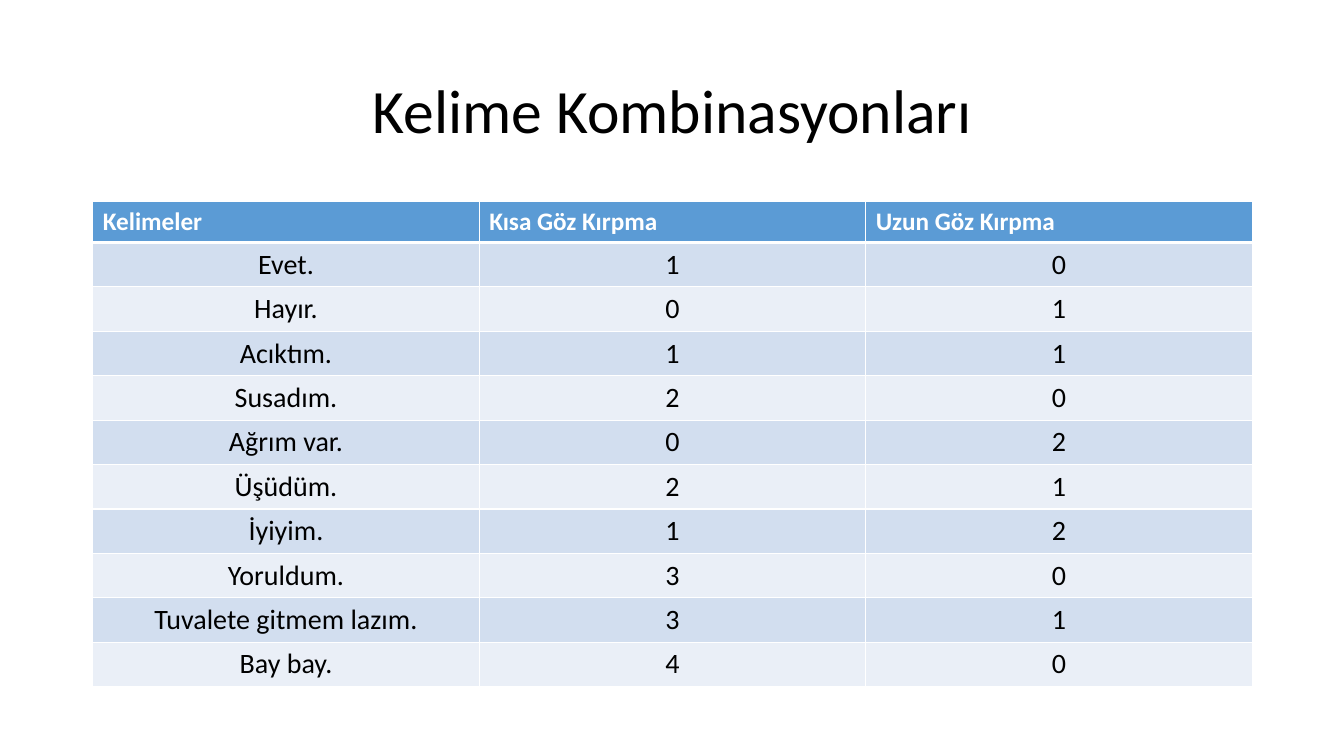
from dataclasses import dataclass

from lxml import etree
from pptx import Presentation
from pptx.dml.color import RGBColor
from pptx.enum.text import MSO_ANCHOR, PP_ALIGN
from pptx.oxml.ns import qn
from pptx.util import Inches, Pt

LEFT, CENTER = PP_ALIGN.LEFT, PP_ALIGN.CENTER
TOP, MIDDLE = MSO_ANCHOR.TOP, MSO_ANCHOR.MIDDLE


@dataclass(frozen=True)
class Theme:
    font: str = "Calibri"
    ink: str = "000000"
    white: str = "FFFFFF"
    head: str = "5B9BD5"
    bands: tuple = ("D2DEEF", "EAEFF7")
    title_size: int = 44
    head_size: int = 18
    body_size: int = 20
    thin: int = 1
    thick: int = 3


class Deck:
    def __init__(self, theme):
        self.theme = theme
        self.file = Presentation()
        self.file.slide_width = Inches(13.33)
        self.file.slide_height = Inches(7.5)
        self.slide = self.file.slides.add_slide(self.file.slide_layouts[5])

    def style(self, frame, size, color, bold, align):
        for para in frame.paragraphs:
            para.alignment = align
            for run in para.runs:
                font = run.font
                font.name = self.theme.font
                font.size = Pt(size)
                font.bold = bold
                font.color.rgb = RGBColor.from_string(color)

    def title(self, text, left, top, width, height):
        box = self.slide.shapes.title
        box.left, box.top = Inches(left), Inches(top)
        box.width, box.height = Inches(width), Inches(height)
        frame = box.text_frame
        frame.text = text
        frame.word_wrap = True
        frame.vertical_anchor = MIDDLE
        frame.paragraphs[0].line_spacing = 0.9
        self.style(frame, self.theme.title_size, self.theme.ink, False, CENTER)

    def border(self, cell, side, width):
        props = cell._tc.get_or_add_tcPr()
        line = etree.SubElement(props, qn("a:ln" + side), w=str(Pt(width)))
        fill = etree.SubElement(line, qn("a:solidFill"))
        etree.SubElement(fill, qn("a:srgbClr"), val=self.theme.white)

    def cell(self, cell, text, row):
        theme = self.theme
        head = row == 0
        widths = {
            "L": theme.thin,
            "R": theme.thin,
            "T": theme.thick if row == 1 else theme.thin,
            "B": theme.thick if head else theme.thin,
        }
        for side, width in widths.items():
            self.border(cell, side, width)
        shade = theme.head if head else theme.bands[(row - 1) % 2]
        cell.fill.solid()
        cell.fill.fore_color.rgb = RGBColor.from_string(shade)
        cell.vertical_anchor = TOP
        cell.text_frame.text = text
        if head:
            self.style(cell.text_frame, theme.head_size, theme.white, True, LEFT)
        else:
            self.style(cell.text_frame, theme.body_size, theme.ink, False, CENTER)

    def table(self, rows, left, top, width, head, body):
        height = head + body * (len(rows) - 1)
        table = self.slide.shapes.add_table(
            len(rows), len(rows[0]), Inches(left), Inches(top),
            Inches(width), Inches(height)).table
        for index, row in enumerate(rows):
            table.rows[index].height = Inches(body if index else head)
            for col, text in enumerate(row):
                self.cell(table.cell(index, col), text, index)

    def save(self):
        self.file.save("out.pptx")


WORDS = [
    ("Kelimeler", "Kısa Göz Kırpma", "Uzun Göz Kırpma"),
    ("Evet.", "1", "0"),
    ("Hayır.", "0", "1"),
    ("Acıktım.", "1", "1"),
    ("Susadım.", "2", "0"),
    ("Ağrım var.", "0", "2"),
    ("Üşüdüm.", "2", "1"),
    ("İyiyim.", "1", "2"),
    ("Yoruldum.", "3", "0"),
    ("Tuvalete gitmem lazım.", "3", "1"),
    ("Bay bay.", "4", "0"),
]


def main():
    deck = Deck(Theme())
    deck.title("Kelime Kombinasyonları", 0.92, 0.4, 11.5, 1.45)
    deck.table(WORDS, 0.92, 2, 11.5, head=0.4, body=0.44)
    deck.save()


if __name__ == "__main__":
    main()
